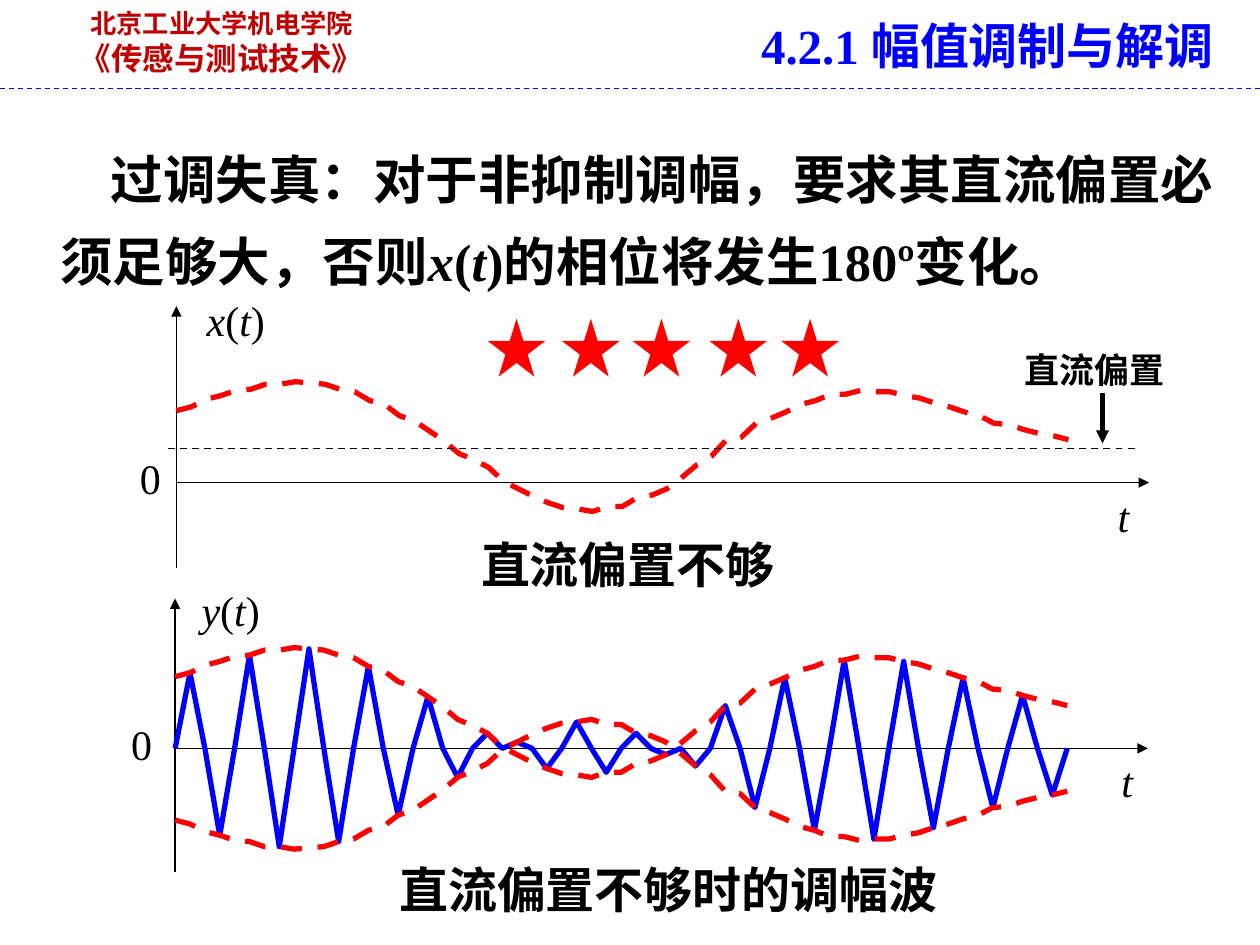
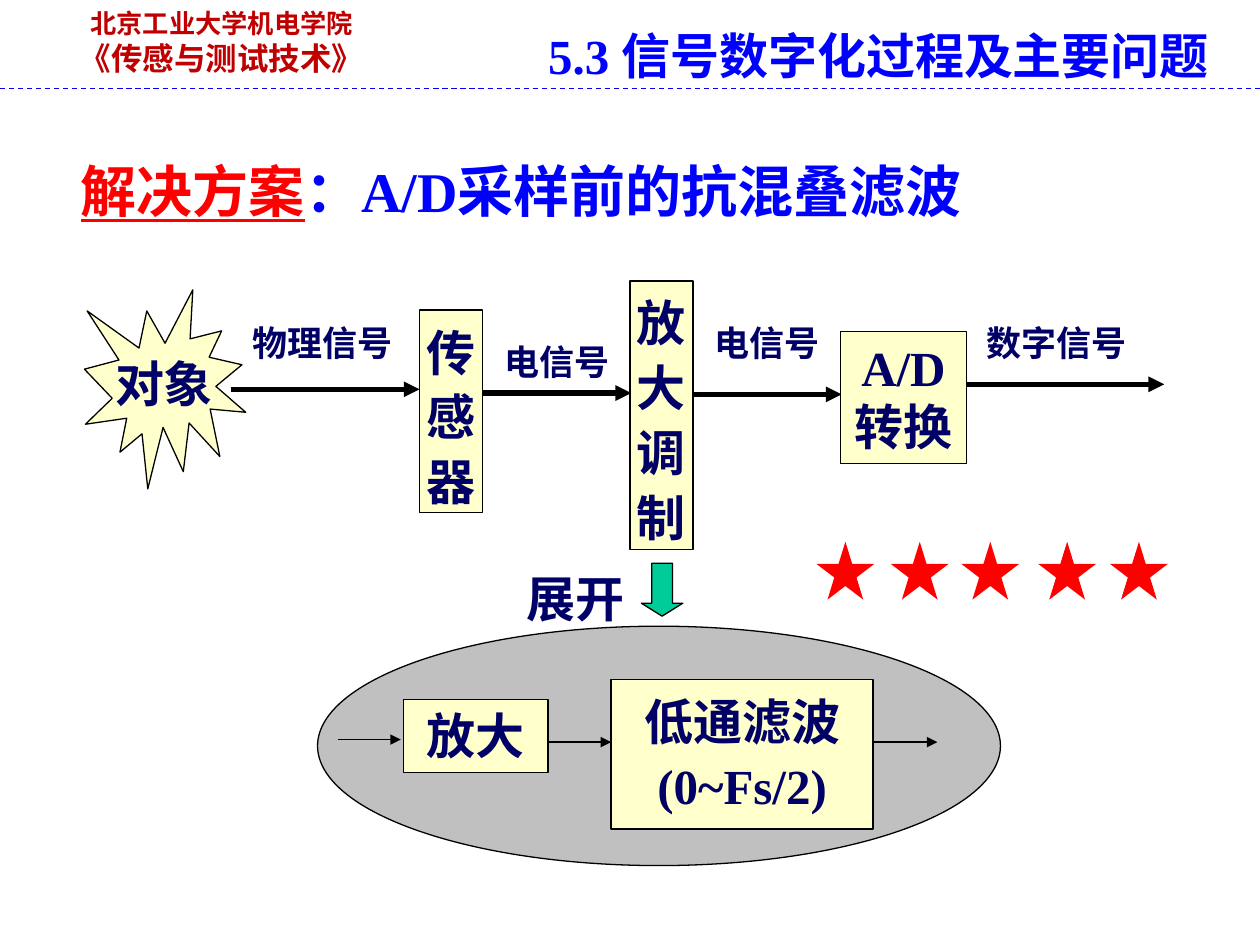
"""Build two lecture slides on over-modulation and anti-aliasing filtering."""
from lxml.etree import SubElement
from pptx import Presentation
from pptx.dml.color import RGBColor
from pptx.enum.dml import MSO_LINE
from pptx.enum.shapes import MSO_CONNECTOR, MSO_SHAPE
from pptx.enum.text import MSO_ANCHOR, MSO_AUTO_SIZE, PP_ALIGN
from pptx.oxml.ns import qn
from pptx.util import Inches, Pt

BLACK, BLUE, RED, NAVY = "000000", "0000FF", "FF0000", "000066"
MAROON, CREAM, GRAY, GREEN = "C00000", "FFFFCC", "C0C0C0", "00CC99"
SERIF, SANS = "Times New Roman", "Noto Sans CJK SC"
ITALIC = {"italic": True}
DEFAULT_INSETS, NO_INSETS, SIDELESS = (0.1, 0.05), (0, 0), (0, 0.05)
STAR_OFFSETS = (0, 0.59, 1.15, 1.76, 2.33)
STEP = 0.118
ENVELOPE = (
    0.57, 0.60, 0.66, 0.69, 0.73, 0.74, 0.78, 0.78, 0.80, 0.79,
    0.78, 0.74, 0.72, 0.65, 0.62, 0.53, 0.49, 0.41, 0.33, 0.23,
    0.18, 0.12, 0.01, -0.05, -0.11, -0.16, -0.20, -0.21, -0.23, -0.19,
    -0.19, -0.12, -0.10, -0.05, 0.04, 0.14, 0.21, 0.34, 0.36, 0.47,
    0.51, 0.56, 0.62, 0.65, 0.70, 0.70, 0.73, 0.72, 0.72, 0.69,
    0.67, 0.63, 0.60, 0.56, 0.53, 0.47, 0.46, 0.42, 0.39, 0.37, 0.34)
LOWER_ENVELOPE = [-height for height in ENVELOPE]
CARRIER = [(0, 1, 0, -1)[index % 4] * height for index, height in enumerate(ENVELOPE)]


def rgb(color):
    return RGBColor.from_string(color)


def function_of_t(name):
    return [(name, ITALIC), ("(", {}), ("t", ITALIC), (")", {})]


class Lecture:
    def __init__(self):
        self.deck = Presentation()
        self.deck.slide_width, self.deck.slide_height = Inches(10), Inches(7.5)
        self.page = None

    def new_page(self, title, title_at):
        self.page = self.deck.slides.add_slide(self.deck.slide_layouts[1])
        header = self.text(["北京工业大学机电学院", "《传感与测试技术》"], (0.51, 0.01, 2.5, 0.66),
                           size=18, color=MAROON, bold=True, font=SANS, align=PP_ALIGN.CENTER)
        header.text_frame.paragraphs[0].font.size = Pt(15)
        self.line((0, 0.7), (10, 0.7), BLUE, 0.75, dashed=True, arrow=False)
        self.placeholder(0, [title], title_at, size=28, color=BLUE)

    def placeholder(self, index, paragraphs, at, **style):
        box = self.page.placeholders[index]
        box.left, box.top, box.width, box.height = map(Inches, at)
        self.set_text(box.text_frame, paragraphs, bold=True, plain=True, **style)

    def set_text(self, frame, paragraphs, size=28, color=BLACK, bold=False, font=SERIF,
                 align=PP_ALIGN.LEFT, spacing=1.0, insets=DEFAULT_INSETS, wrap=True,
                 anchor=MSO_ANCHOR.TOP, plain=False, indent=0):
        frame.word_wrap = wrap
        frame.auto_size = MSO_AUTO_SIZE.NONE
        frame.vertical_anchor = anchor
        frame.margin_left = frame.margin_right = Inches(insets[0])
        frame.margin_top = frame.margin_bottom = Inches(insets[1])
        for index, spans in enumerate(paragraphs):
            para = frame.add_paragraph() if index else frame.paragraphs[0]
            if plain:
                properties = para._p.get_or_add_pPr()
                properties.set("marL", "0")
                properties.set("indent", str(Inches(indent)))
                SubElement(properties, qn("a:buNone"))
            para.alignment, para.line_spacing, para.space_before = align, spacing, Pt(0)
            para.font.size, para.font.name, para.font.bold = Pt(size), font, bold
            para.font.color.rgb = rgb(color)
            for words, changes in [(spans, {})] if isinstance(spans, str) else spans:
                span = para.add_run()
                span.text = words
                for name, value in changes.items():
                    if name == "color":
                        span.font.color.rgb = rgb(value)
                    else:
                        setattr(span.font, name, value)

    def text(self, paragraphs, at, **style):
        box = self.page.shapes.add_textbox(*map(Inches, at))
        self.set_text(box.text_frame, paragraphs, **style)
        return box

    def shape(self, kind, at, fill, outline=BLACK, paragraphs=(), **style):
        box = self.page.shapes.add_shape(kind, *map(Inches, at))
        box.shadow.inherit = False
        box.fill.solid()
        box.fill.fore_color.rgb = rgb(fill)
        if outline:
            box.line.color.rgb, box.line.width = rgb(outline), Pt(0.75)
        else:
            box.line.fill.background()
        if paragraphs:
            self.set_text(box.text_frame, paragraphs, color=NAVY, bold=True,
                          align=PP_ALIGN.CENTER, **style)
        return box

    def block(self, paragraphs, at, spacing=1.0):
        self.shape(MSO_SHAPE.RECTANGLE, at, CREAM, paragraphs=paragraphs,
                   spacing=spacing, insets=SIDELESS)

    def line(self, start, end, color=BLACK, width=1.0, dashed=False, arrow=True):
        connector = self.page.shapes.add_connector(
            MSO_CONNECTOR.STRAIGHT, *map(Inches, start + end))
        connector.line.color.rgb, connector.line.width = rgb(color), Pt(width)
        if dashed:
            connector.line.dash_style = MSO_LINE.DASH
        if arrow:
            SubElement(connector.line._get_or_add_ln(), qn("a:tailEnd"), type="triangle")
        SubElement(connector._element.spPr, qn("a:effectLst"))

    def curve(self, left, axis, heights, color, dashed=True):
        points = [(Inches(left + STEP * index), Inches(axis - height))
                  for index, height in enumerate(heights)]
        builder = self.page.shapes.build_freeform(*points[0])
        builder.add_line_segments(points[1:], close=False)
        wave = builder.convert_to_shape()
        wave.shadow.inherit = False
        wave.fill.background()
        wave.line.color.rgb, wave.line.width = rgb(color), Pt(3)
        if dashed:
            wave.line.dash_style = MSO_LINE.DASH

    def axes(self, left, axis, bottom, top):
        self.line((left, axis), (left + 7.72, axis))
        self.line((left, bottom), (left, top))

    def symbol(self, spans, left, top, width=0.21):
        self.text([spans], (left, top, width, 0.44), size=24, insets=NO_INSETS)

    def caption(self, words, at, size=28):
        self.text([words], at, size=size, bold=True, spacing=0.8)

    def signal(self, words, left, top, width):
        self.text([words], (left, top, width, 0.33), size=20, color=NAVY,
                  bold=True, insets=NO_INSETS)

    def stars(self, left, top):
        for offset in STAR_OFFSETS:
            self.shape(MSO_SHAPE.STAR_5_POINT, (left + offset, top, 0.46, 0.46), RED, None)


def over_modulation(lecture):
    lecture.new_page("4.2.1 幅值调制与解调", (5.94, 0.07, 4.06, 0.57))
    sentence = [("过调失真：对于非抑制调幅，要求其直流偏置必须足够大，否则", {}),
                *function_of_t("x"), ("的相位将发生180º变化。", {})]
    lecture.placeholder(1, [sentence], (0.38, 0.97, 9.45, 1.41),
                        size=30, spacing=1.3, indent=0.4)

    lecture.axes(1.39, 5.94, 6.92, 4.75)
    lecture.curve(1.39, 5.94, CARRIER, BLUE, dashed=False)
    lecture.curve(1.39, 5.94, ENVELOPE, RED)
    lecture.curve(1.39, 5.94, LOWER_ENVELOPE, RED)
    lecture.symbol(function_of_t("y"), 1.6, 4.64, 0.9)
    lecture.symbol([("t", ITALIC)], 8.9, 6)
    lecture.symbol("0", 1.04, 5.7)

    lecture.axes(1.4, 3.83, 4.51, 2.43)
    lecture.curve(1.4, 3.83, ENVELOPE, RED)
    lecture.symbol(function_of_t("x"), 1.64, 2.34, 0.9)
    lecture.symbol([("t", ITALIC)], 8.87, 3.89)
    lecture.symbol("0", 1.11, 3.59)
    lecture.line((1.33, 3.56), (9.04, 3.56), dashed=True, arrow=False)

    lecture.caption("直流偏置不够", (3.72, 4.28, 2.57, 0.48))
    lecture.caption("直流偏置不够时的调幅波", (3.07, 6.86, 4.54, 0.48))
    lecture.caption("直流偏置", (8.03, 2.78, 1.33, 0.37), size=20)
    lecture.line((8.75, 3.12), (8.75, 3.52), width=2.5)
    lecture.stars(3.87, 2.53)


def anti_aliasing(lecture):
    lecture.new_page("5.3 信号数字化过程及主要问题", (4.25, 0.15, 5.75, 0.48))
    heading = [("解决方案", {"color": RED, "underline": True}),
               ("：A/D采样前的抗混叠滤波", {"color": BLUE})]
    lecture.placeholder(1, [heading], (0.31, 1.19, 7.66, 0.53),
                        size=32, align=PP_ALIGN.CENTER)

    for start, end, level in ((1.83, 3.33, 3.09), (3.83, 5.01, 3.12),
                              (5.5, 6.68, 3.13), (7.67, 9.24, 3.05)):
        lecture.line((start, level), (end, level), width=3)
    lecture.shape(MSO_SHAPE.EXPLOSION1, (0.67, 2.3, 1.28, 1.58), CREAM,
                  paragraphs=["对象"], wrap=False, anchor=MSO_ANCHOR.MIDDLE)
    lecture.block(["传感器"], (3.33, 2.46, 0.5, 1.61), spacing=1.1)
    lecture.block(["放大调制"], (5, 2.23, 0.5, 2.13), spacing=1.1)
    lecture.block(["A/D", "转换"], (6.67, 2.63, 1, 1.05))
    lecture.signal("物理信号", 2, 2.55, 1.28)
    lecture.signal("电信号", 4, 2.7, 1.08)
    lecture.signal("电信号", 5.67, 2.55, 1)
    lecture.signal("数字信号", 7.83, 2.55, 1.25)

    expand = lecture.shape(MSO_SHAPE.DOWN_ARROW, (5.09, 4.47, 0.33, 0.42), GREEN)
    expand.adjustments[1] = 0.312
    lecture.shape(MSO_SHAPE.OVAL, (2.52, 4.97, 5.42, 1.9), GRAY)
    lecture.text(["展开"], (4.08, 4.46, 1, 0.57), color=NAVY, bold=True)
    lecture.block(["低通滤波", "(0~Fs/2)"], (4.85, 5.39, 2.08, 1.19), spacing=1.1)
    lecture.block(["放大"], (3.2, 5.55, 1.15, 0.58))
    for start, level in ((2.68, 5.87), (4.35, 5.89), (6.94, 5.89)):
        lecture.line((start, level), (start + 0.5, level), width=0.75)
    lecture.stars(6.48, 4.3)


def main():
    lecture = Lecture()
    over_modulation(lecture)
    anti_aliasing(lecture)
    lecture.deck.save("out.pptx")


if __name__ == "__main__":
    main()
